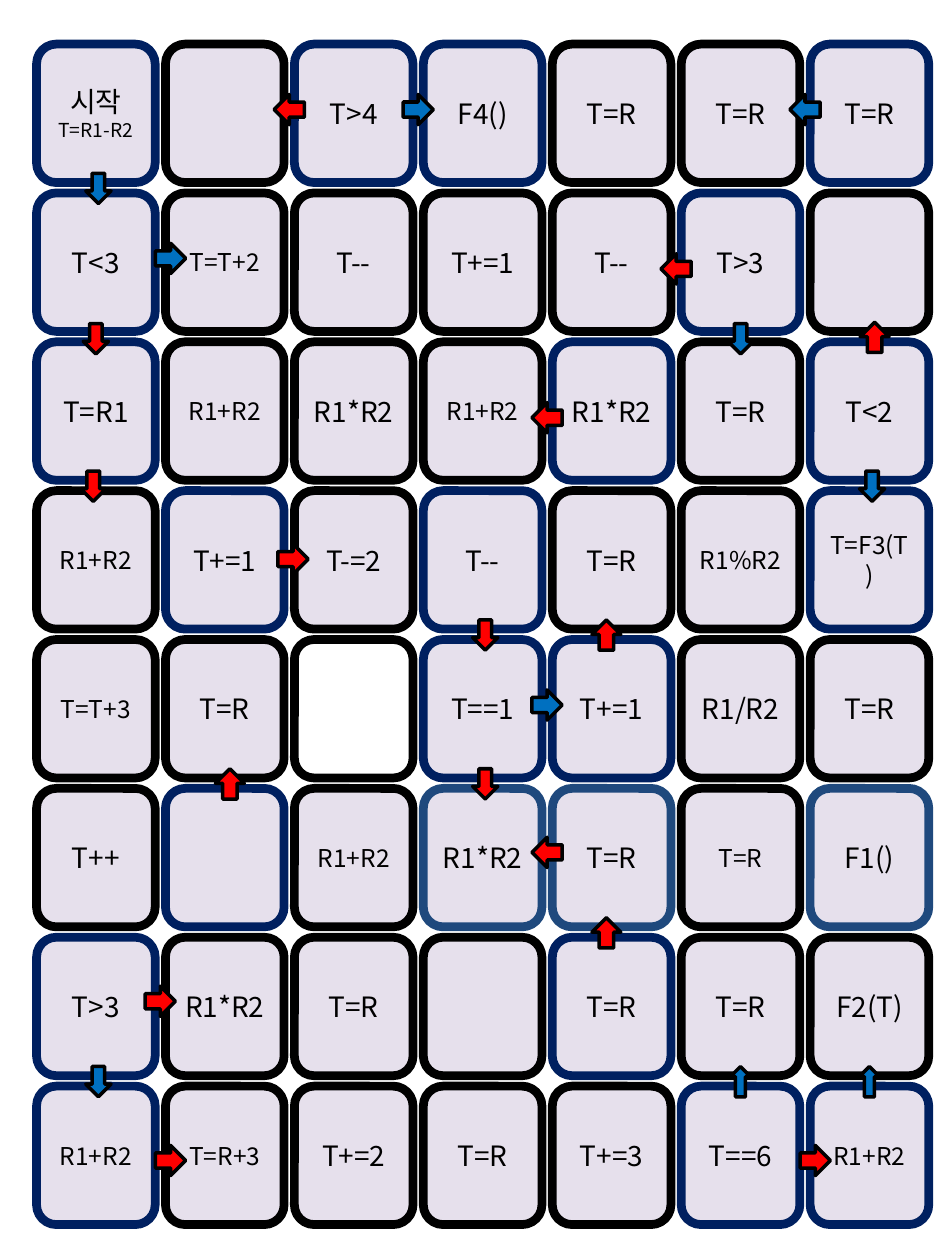
from pptx import Presentation
from pptx.dml.color import RGBColor
from pptx.enum import shapes, text
from pptx.util import Inches, Pt

FONT = "Noto Sans CJK KR"
COLORS = {"lilac": "E6E0EC", "white": "FFFFFF", "black": "000000", "navy": "002060",
          "steel": "1F497D", "blue": "0070C0", "red": "FF0000"}

# Card text by board row; "\n" starts a smaller second paragraph
LABELS = [
    ["시작\nT=R1-R2", "", "T>4", "F4()", "T=R", "T=R", "T=R"],
    ["T<3", "T=T+2", "T--", "T+=1", "T--", "T>3", ""],
    ["T=R1", "R1+R2", "R1*R2", "R1+R2", "R1*R2", "T=R", "T<2"],
    ["R1+R2", "T+=1", "T-=2", "T--", "T=R", "R1%R2", "T=F3(T)"],
    ["T=T+3", "T=R", "", "T==1", "T+=1", "R1/R2", "T=R"],
    ["T++", "", "R1+R2", "R1*R2", "T=R", "T=R", "F1()"],
    ["T>3", "R1*R2", "T=R", "", "T=R", "T=R", "F2(T)"],
    ["R1+R2", "T=R+3", "T+=2", "T=R", "T+=3", "T==6", "R1+R2"],
]
# One letter per card: outline and fill; a capital means smaller text
STYLES = {"n": ("navy", "lilac"), "k": ("black", "lilac"),
          "s": ("steel", "lilac"), "w": ("black", "white")}
CARD_STYLES = ["nknnkkn", "nKkkknk", "nKkKnkn", "KnknkKN",
               "Kkwnnkk", "knKssKs", "nkkknkk", "NKkkknN"]

# Arrow centres in columns and rows of the board
ROTATION = {"right": 0, "down": 90, "left": 180, "up": 270}
ARROWS = {
    ("right", "blue"): [(2.96, 0.44), (3.96, 4.44), (1.04, 1.44)],
    ("right", "red"): [(1.99, 3.46), (0.96, 6.43), (6.04, 7.5), (1.04, 7.5)],
    ("left", "blue"): [(5.96, 0.44)],
    ("left", "red"): [(3.96, 2.51), (1.96, 0.44), (3.96, 5.43), (4.96, 1.51)],
    ("down", "blue"): [(0.48, 6.97), (5.46, 1.98), (6.48, 2.97), (0.48, 0.97)],
    ("down", "red"): [(3.48, 4.97), (0.44, 2.97), (0.46, 1.98), (3.48, 3.97)],
    ("up", "blue"): [(5.46, 6.97), (6.46, 6.97)],
    ("up", "red"): [(4.42, 3.97), (6.5, 1.97), (1.5, 4.97), (4.42, 5.97)],
}
ARROW_LENGTH = 0.24
ARROW_WIDTH = {("down", "blue"): 0.2, ("down", "red"): 0.2,
               ("up", "blue"): 0.16, ("up", "red"): 0.23}


def rgb(name):
    return RGBColor.from_string(COLORS[name])


def add_block(slide, kind, box, fill, line, weight):
    sp = slide.shapes.add_shape(kind, *(Inches(v) for v in box))
    sp.shadow.inherit = False
    sp.fill.solid()
    sp.fill.fore_color.rgb = rgb(fill)
    sp.line.color.rgb = rgb(line)
    sp.line.width = Pt(weight)
    return sp


def add_card(slide, box, label, style):
    line, fill = STYLES[style.lower()]
    sp = add_block(slide, shapes.MSO_SHAPE.ROUNDED_RECTANGLE, box, fill, line, 5)
    if not label:
        return
    tf = sp.text_frame
    tf.word_wrap = True
    tf.vertical_anchor = text.MSO_ANCHOR.MIDDLE
    tf.text = label
    for i, p in enumerate(tf.paragraphs):
        p.alignment = text.PP_ALIGN.CENTER
        p.font.name = FONT
        p.font.size = Pt(11 if i else 14 if style.isupper() else 16)
        p.font.color.rgb = rgb("black")


def add_cards(slide, box):
    left, top, col_w, row_h = box
    for c in range(len(LABELS[0])):
        for r, row in enumerate(LABELS):
            card = (left + c * col_w, top + r * row_h, 0.92 * col_w, 0.93 * row_h)
            add_card(slide, card, row[c], CARD_STYLES[r][c])


def add_arrows(slide, box):
    left, top, col_w, row_h = box
    for (way, color), centres in ARROWS.items():
        width = ARROW_WIDTH.get((way, color), ARROW_LENGTH)
        for c, r in centres:
            x = left + c * col_w - ARROW_LENGTH / 2
            y = top + r * row_h - width / 2
            sp = add_block(slide, shapes.MSO_SHAPE.RIGHT_ARROW,
                           (x, y, ARROW_LENGTH, width), color, "black", 2)
            sp.rotation = ROTATION[way]


def main():
    prs = Presentation()
    prs.slide_width, prs.slide_height = Inches(7.5), Inches(10)
    slide = prs.slides.add_slide(prs.slide_layouts[6])
    # Board origin, then the column and row pitch
    board = (0.29, 0.35, 6.14 / 6, 8.27 / 7)
    add_cards(slide, board)
    add_arrows(slide, board)
    prs.save("out.pptx")


if __name__ == "__main__":
    main()
